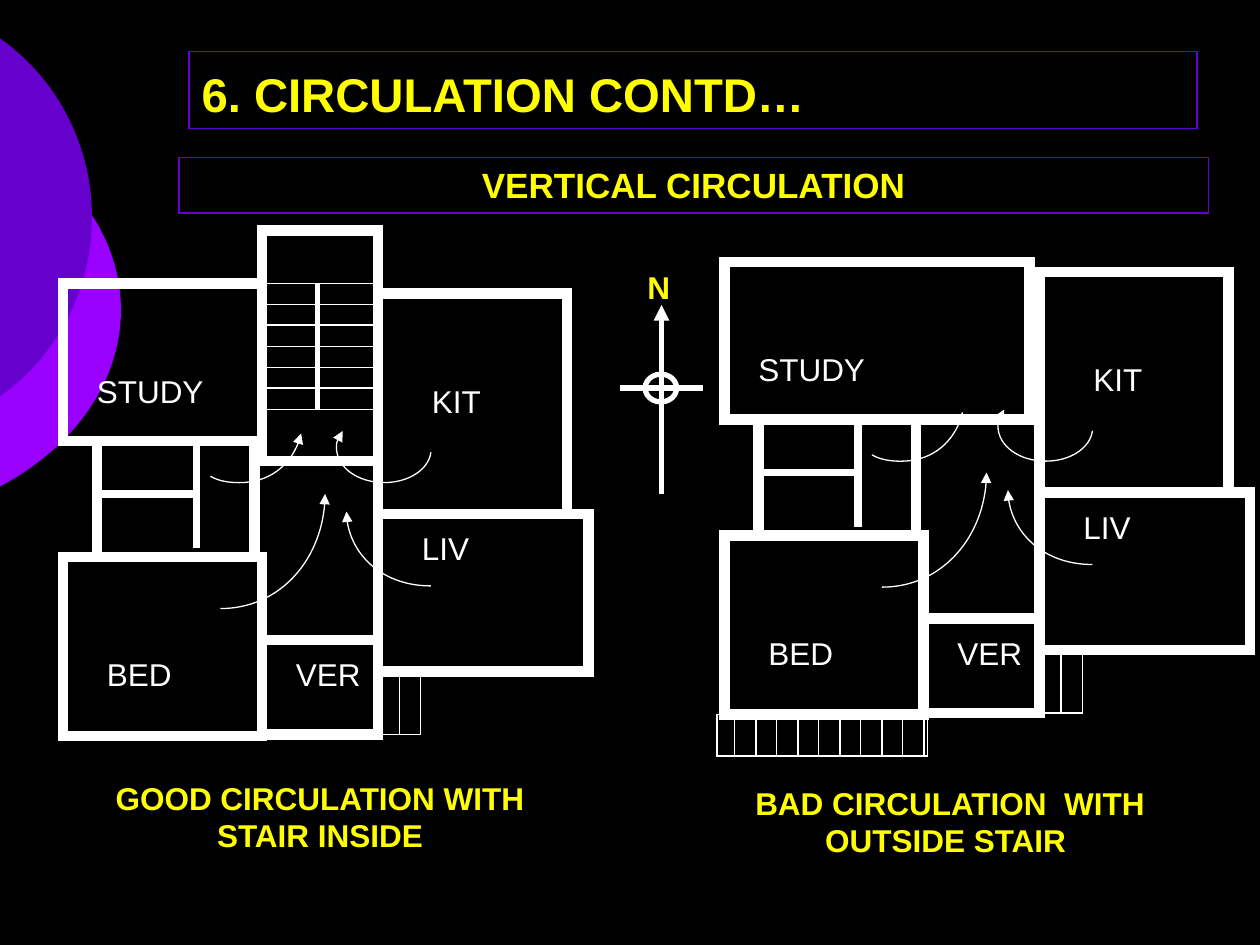
"""Build a slide comparing house plans with the stair inside and outside."""
import dataclasses

import lxml.etree
import pptx
import pptx.dml.color
import pptx.enum.shapes
import pptx.enum.text
import pptx.oxml.ns
import pptx.util

Inches = pptx.util.Inches
Pt = pptx.util.Pt
RGBColor = pptx.dml.color.RGBColor
qn = pptx.oxml.ns.qn
Kind = pptx.enum.shapes.MSO_SHAPE
Align = pptx.enum.text.PP_ALIGN


@dataclasses.dataclass(frozen=True)
class Theme:
    font: str = "Arial"
    black: RGBColor = RGBColor(0, 0, 0)
    white: RGBColor = RGBColor(255, 255, 255)
    yellow: RGBColor = RGBColor(255, 255, 0)
    violet: RGBColor = RGBColor(0x66, 0, 0xCC)
    purple: RGBColor = RGBColor(0x99, 0, 0xFF)
    title: float = 27
    subtitle: float = 20
    label: float = 18
    wall: float = 6
    partition: float = 4.5
    compass: float = 3
    thin: float = 0.75


theme = Theme()


def stroke(item, width, color=theme.white, arrow=False):
    item.line.color.rgb = color
    item.line.width = Pt(width)
    properties = item.element.spPr
    outline = properties.find(qn("a:ln"))
    lxml.etree.SubElement(outline, qn("a:miter"), lim="800000")
    if arrow:
        lxml.etree.SubElement(outline, qn("a:tailEnd"), type="triangle")
    if properties.find(qn("a:effectLst")) is None:
        lxml.etree.SubElement(properties, qn("a:effectLst"))


def write(box, text, size, color, bold=True, align=Align.LEFT):
    box.text_frame.word_wrap = True
    para = box.text_frame.paragraphs[0]
    para.text = text
    para.alignment = align
    para.font.name = theme.font
    para.font.size = Pt(size)
    para.font.bold = bold
    para.font.color.rgb = color


deck = pptx.Presentation()
deck.slide_width, deck.slide_height = Inches(10), Inches(7.5)
page = deck.slides.add_slide(deck.slide_layouts[5])
page.background.fill.solid()
page.background.fill.fore_color.rgb = theme.black
shapes = page.shapes

discs = [
    (theme.purple, -3.54, 0.75, 4.5, 3.42),
    (theme.violet, -2.65, 0, 3.38, 3.45),
]
for color, *bounds in discs:
    disc = shapes.add_shape(Kind.OVAL, *map(Inches, bounds))
    disc.shadow.inherit = False
    disc.fill.solid()
    disc.fill.fore_color.rgb = color
    disc.line.fill.background()

title = shapes.title
title.left, title.top, title.width, title.height = map(Inches, (1.5, 0.41, 8, 0.61))
title.text_frame.vertical_anchor = pptx.enum.text.MSO_ANCHOR.BOTTOM
write(title, "6. CIRCULATION CONTD…", theme.title, theme.yellow)
stroke(title, theme.thin, theme.violet)

subtitle = shapes.add_textbox(*map(Inches, (1.42, 1.25, 8.17, 0.44)))
subtitle.fill.solid()
subtitle.fill.fore_color.rgb = theme.black
write(subtitle, "VERTICAL CIRCULATION", theme.subtitle, theme.yellow, align=Align.CENTER)
stroke(subtitle, theme.thin, theme.violet)

labels = [
    ("STUDY", 0.67, 2.9, 1.25),
    ("KIT", 3.33, 2.98, 0.67),
    ("BED", 0.75, 5.15, 0.92),
    ("VER", 2.25, 5.15, 0.92),
    ("LIV", 3.25, 4.15, 0.83),
]
shared_rooms = [
    (0.77, 3.5, 1.25, 0.92),
    (0.5, 4.42, 1.58, 1.42),
    (3, 2.33, 1.5, 1.75),
    (3, 4.08, 1.67, 1.25),
    (2.08, 5.08, 0.92, 0.75),
]
entrance_steps = [(3, 5.33, 0.17, 0.5), (3.17, 5.33, 0.17, 0.5)]
partitions = [(1.56, 3.52, 1.56, 4.35), (1.58, 3.92, 0.75, 3.92)]
routes = [
    [(3.42, 4.65), (3.05, 4.65), (2.75, 4.38), (2.75, 4.06)],
    [(1.67, 3.78), (1.74, 3.82), (1.82, 3.83), (1.9, 3.83),
     (2.13, 3.83), (2.34, 3.67), (2.39, 3.44)],
    [(3.42, 3.59), (3.4, 3.73), (3.24, 3.83), (3.05, 3.83), (2.84, 3.83),
     (2.67, 3.71), (2.67, 3.55), (2.67, 3.51), (2.69, 3.46), (2.72, 3.42)],
    [(1.75, 4.83), (2.21, 4.83), (2.58, 4.42), (2.58, 3.92)],
]

rectangles = [
    (theme.wall, 2.08, 1.83, 0.92, 1.83),
    (theme.wall, 0.5, 2.25, 1.58, 1.25),
    (theme.wall, 5.75, 2.08, 2.42, 1.25),
    (theme.thin, 5.69, 5.67, 1.67, 0.33),
]
rectangles += [(theme.thin, 2.08, top, 0.92, 0.17) for top in (2.25, 2.58, 2.75, 3.08)]
rectangles += [(theme.thin, 5.83 + tread / 3, 5.67, 0.17, 0.33) for tread in range(5)]
lines = [
    (theme.compass, False, 2.52, 2.25, 2.52, 3.25),
    (theme.compass, True, 5.25, 3.92, 5.25, 2.42),
    (theme.compass, False, 4.92, 3.08, 5.58, 3.08),
]
for dx, dy in [(0, 0), (5.25, -0.17)]:
    for weight, group in ((theme.wall, shared_rooms), (theme.thin, entrance_steps)):
        rectangles += [(weight, x + dx, y + dy, w, h) for x, y, w, h in group]
    lines += [(theme.partition, False, x1 + dx, y1 + dy, x2 + dx, y2 + dy)
              for x1, y1, x2, y2 in partitions]
    for text, x, y, width in labels:
        label = shapes.add_textbox(*map(Inches, (x + dx, y + dy, width, 0.4)))
        write(label, text, theme.label, theme.white, bold=False)
    for route in routes:
        start, *knots = [(Inches(x + dx), Inches(y + dy)) for x, y in route]
        builder = shapes.build_freeform(*start)
        builder.add_line_segments(knots, close=False)
        curve = builder.convert_to_shape()
        outline_path = next(curve.element.iter(qn("a:path")))
        segments = outline_path.findall(qn("a:lnTo"))
        for first in range(0, len(segments), 3):
            bend = lxml.etree.SubElement(outline_path, qn("a:cubicBezTo"))
            for segment in segments[first:first + 3]:
                bend.append(segment[0])
                outline_path.remove(segment)
        curve.shadow.inherit = False
        curve.fill.background()
        stroke(curve, theme.thin, arrow=True)

outlines = [(Kind.RECTANGLE, *rectangle) for rectangle in rectangles]
outlines.append((Kind.OVAL, theme.compass, 5.12, 2.97, 0.25, 0.22))
for kind, weight, *bounds in outlines:
    outline = shapes.add_shape(kind, *map(Inches, bounds))
    outline.shadow.inherit = False
    outline.fill.background()
    stroke(outline, weight)

for weight, arrow, *ends in lines:
    line = shapes.add_connector(pptx.enum.shapes.MSO_CONNECTOR.STRAIGHT, *map(Inches, ends))
    stroke(line, weight, arrow=arrow)

captions = [
    ("BAD CIRCULATION  WITH OUTSIDE STAIR ", 5.83, 6.17, 3.42, 0.7, Align.CENTER),
    ("GOOD CIRCULATION WITH STAIR INSIDE", 0.75, 6.13, 3.58, 0.7, Align.CENTER),
    ("N", 5.04, 2.08, 0.58, 0.4, Align.LEFT),
]
for text, *bounds, align in captions:
    caption = shapes.add_textbox(*map(Inches, bounds))
    write(caption, text, theme.label, theme.yellow, align=align)

deck.save("out.pptx")
